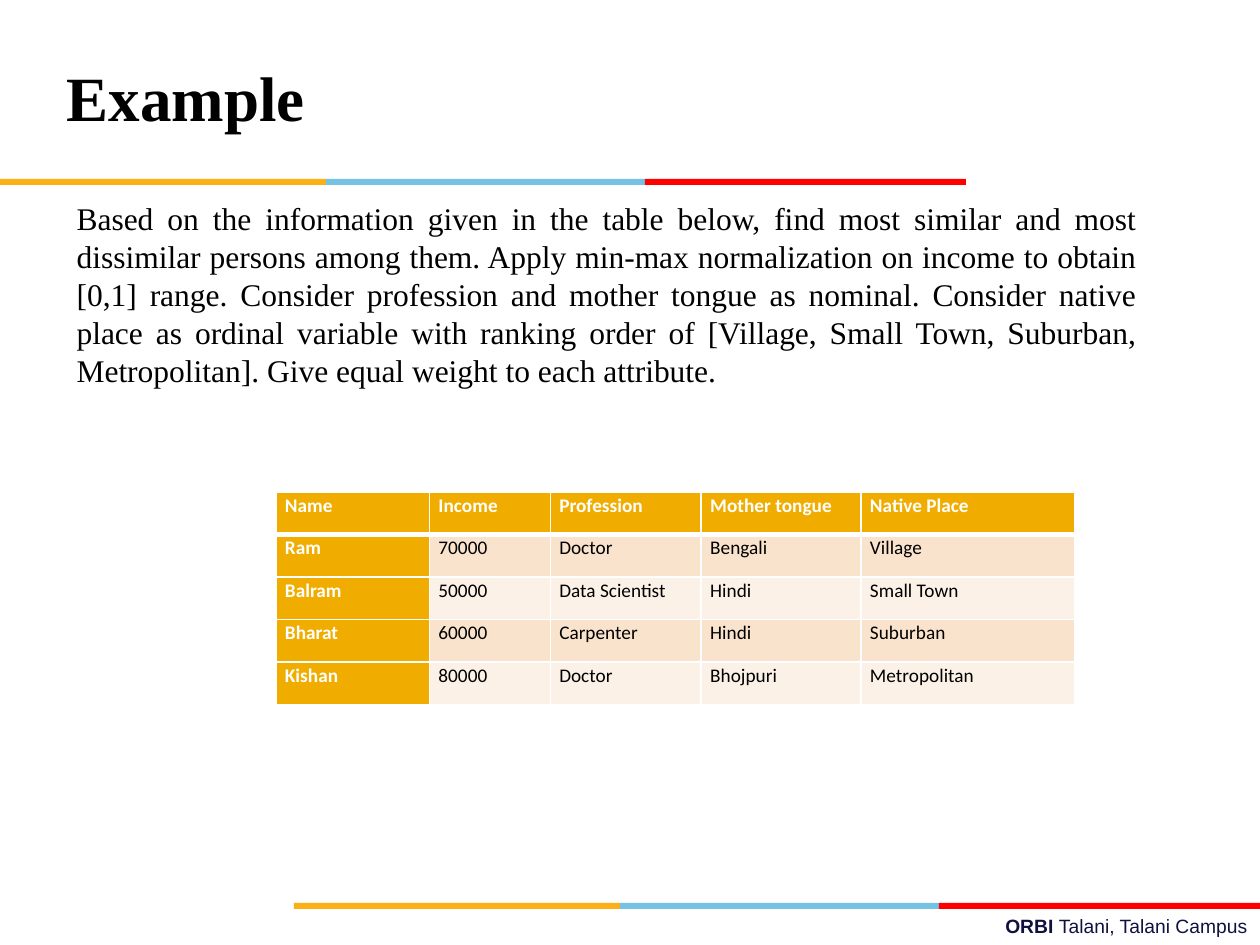
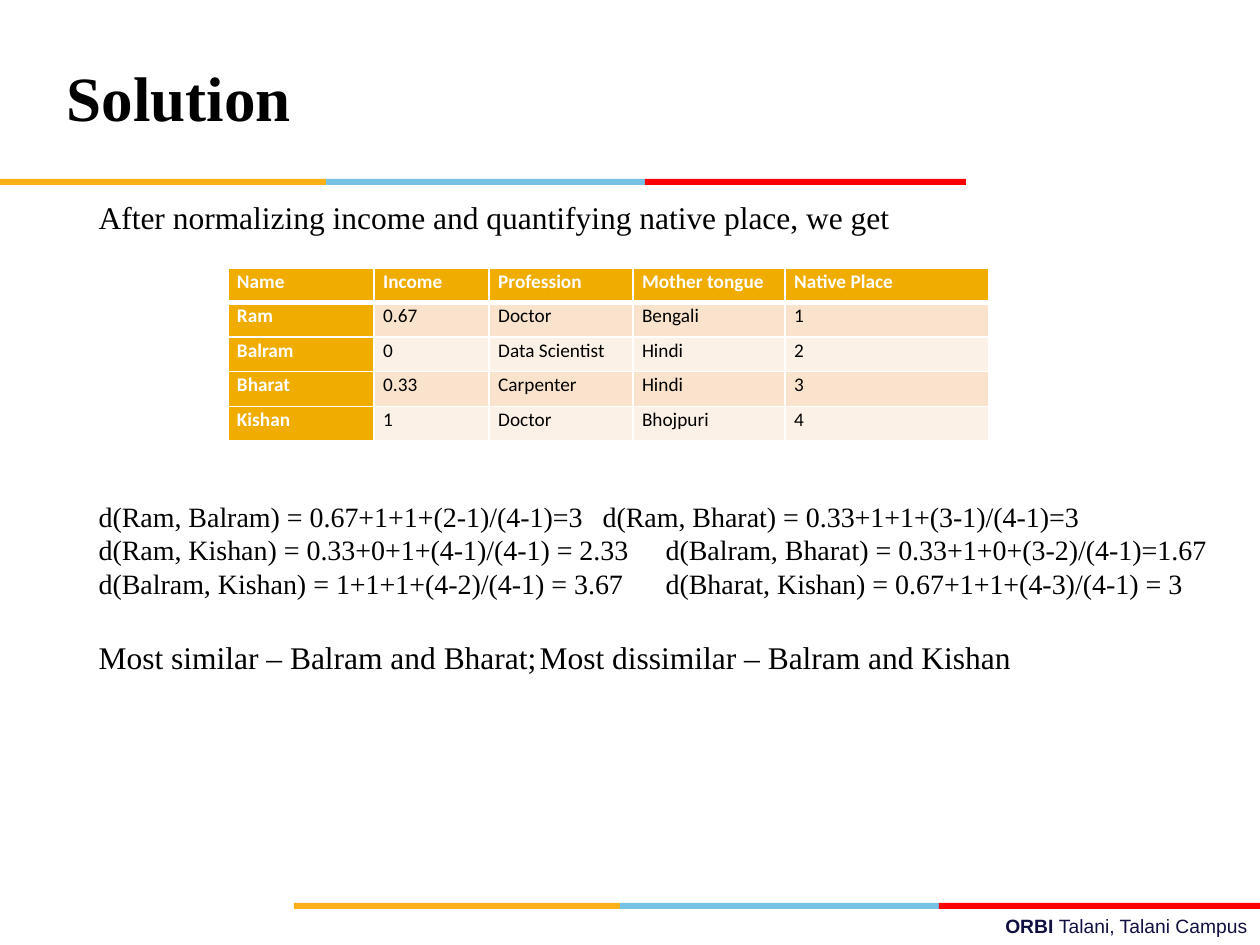
import dataclasses
import itertools

import pptx
import pptx.dml.color
import pptx.enum.shapes
import pptx.enum.text
import pptx.oxml.ns
import pptx.util
from lxml import etree

PIXELS_PER_INCH = 126
ALIGN = pptx.enum.text.PP_ALIGN


@dataclasses.dataclass(frozen=True)
class Theme:
    text_font: str = "Times New Roman"
    table_font: str = "Calibri"
    footer_font: str = "Arial"
    title_size: int = 36
    body_size: int = 18
    formula_size: int = 16
    small_size: int = 11
    black: str = "000000"
    white: str = "FFFFFF"
    navy: str = "101141"
    stripes: tuple = ("FCB017", "76C2E5", "FF0000")
    header_fill: str = "F0AD00"
    row_fills: tuple = ("F9E3CC", "FCF1E7")


THEME = Theme()
STRIPE_WIDTHS = (326, 319, 321)
COLUMN_WEIGHTS = (122, 96, 120, 127, 170)
HEADINGS = ("Name", "Income", "Profession", "Mother tongue", "Native Place")
PEOPLE = (
    ("Ram", "Doctor", "Bengali"),
    ("Balram", "Data Scientist", "Hindi"),
    ("Bharat", "Carpenter", "Hindi"),
    ("Kishan", "Doctor", "Bhojpuri"),
)
QUESTION = (
    "Based on the information given in the table below, find most similar and most "
    "dissimilar persons among them. Apply min-max normalization on income to obtain "
    "[0,1] range. Consider profession and mother tongue as nominal. Consider native "
    "place as ordinal variable with ranking order of [Village, Small Town, Suburban, "
    "Metropolitan]. Give equal weight to each attribute."
)


@dataclasses.dataclass(frozen=True)
class Line:
    """A body paragraph; tab is where its second half starts, in px."""
    text: str
    size: int = THEME.body_size
    gap_before: int = 0
    tab: int = 0


SOLUTION = (
    Line("After normalizing income and quantifying native place, we get"),
    Line("d(Ram, Balram) = 0.67+1+1+(2-1)/(4-1)=3\td(Ram, Bharat) = 0.33+1+1+(3-1)/(4-1)=3",
         THEME.formula_size, 263, 526),
    Line("d(Ram, Kishan) = 0.33+0+1+(4-1)/(4-1) = 2.33\t"
         "d(Balram, Bharat) = 0.33+1+0+(3-2)/(4-1)=1.67", THEME.formula_size, 0, 543),
    Line("d(Balram, Kishan) = 1+1+1+(4-2)/(4-1) = 3.67\t"
         "d(Bharat, Kishan) = 0.67+1+1+(4-3)/(4-1) = 3", THEME.formula_size, 0, 538),
    Line("Most similar – Balram and Bharat;\tMost dissimilar – Balram and Kishan",
         gap_before=38, tab=469),
)


def px(length):
    return pptx.util.Emu(round(length * 914400 / PIXELS_PER_INCH))


def color(value):
    return pptx.dml.color.RGBColor.from_string(value)


def style_run(run, font, size, ink, bold=False):
    run.font.name = font
    run.font.size = pptx.util.Pt(size)
    run.font.color.rgb = color(ink)
    run.font.bold = bold


def place(shape, box):
    shape.left, shape.top, shape.width, shape.height = map(px, box)


def add_child(parent, tag, **attributes):
    return etree.SubElement(parent, pptx.oxml.ns.qn(tag), attributes)


def add_stripes(slide, left, top):
    group = slide.shapes.add_group_shape()
    offsets = itertools.accumulate(STRIPE_WIDTHS, initial=left)
    for offset, width, fill in zip(offsets, STRIPE_WIDTHS, THEME.stripes):
        stripe = group.shapes.add_shape(
            pptx.enum.shapes.MSO_SHAPE.RECTANGLE, px(offset), px(top), px(width), px(6))
        stripe.shadow.inherit = False
        stripe.fill.solid()
        stripe.fill.fore_color.rgb = color(fill)
        stripe.line.fill.background()


def add_footer(slide, box):
    footer = slide.shapes.add_textbox(*map(px, box))
    footer.text_frame.word_wrap = True
    paragraph = footer.text_frame.paragraphs[0]
    paragraph.alignment = ALIGN.RIGHT
    for text, bold in (("ORBI ", True), ("Talani, Talani Campus", False)):
        run = paragraph.add_run()
        run.text = text
        style_run(run, THEME.footer_font, THEME.small_size, THEME.navy, bold)


def add_base_slide(presentation, title):
    """Add a slide with the shared title, stripes and footer."""
    slide = presentation.slides.add_slide(presentation.slide_layouts[1])
    heading = slide.shapes.title
    place(heading, (54, 38, 843, 117))
    heading.text_frame.text = title
    heading.text_frame.vertical_anchor = pptx.enum.text.MSO_ANCHOR.MIDDLE
    paragraph = heading.text_frame.paragraphs[0]
    paragraph.alignment = ALIGN.LEFT
    style_run(paragraph.runs[0], THEME.text_font, THEME.title_size, THEME.black, True)
    add_stripes(slide, 0, 179)
    add_stripes(slide, 294, 903)
    add_footer(slide, (451, 908, 809, 37))
    return slide


def fill_body(slide, box, lines, alignment=ALIGN.LEFT):
    body = slide.placeholders[1]
    place(body, box)
    frame = body.text_frame
    frame.text = "\n".join(line.text for line in lines)
    frame.auto_size = pptx.enum.text.MSO_AUTO_SIZE.NONE
    for paragraph, line in zip(frame.paragraphs, lines):
        paragraph.alignment = alignment
        paragraph.space_before = pptx.util.Pt(round(px(line.gap_before).pt, 1))
        for run in paragraph.runs:
            style_run(run, THEME.text_font, line.size, THEME.black)
        properties = paragraph._p.get_or_add_pPr()
        properties.set("marL", "0")
        properties.set("indent", "0")
        add_child(properties, "a:buNone")
        if line.tab:
            tabs = add_child(properties, "a:tabLst")
            add_child(tabs, "a:tab", pos=str(px(line.tab)), algn="l")


def set_borders(cell, **widths):
    """Draw white borders; widths are points for the sides L, R, T and B."""
    properties = cell._tc.get_or_add_tcPr()
    for side in "LRTB":
        width = pptx.util.Pt(widths.get(side, 1))
        line = add_child(properties, f"a:ln{side}", w=str(width))
        add_child(add_child(line, "a:solidFill"), "a:srgbClr", val=THEME.white)


def style_cell(cell, text, row, column):
    is_label = row == 0 or column == 0
    set_borders(cell, T=3 if row == 1 else 1, B=3 if row == 0 else 1)
    cell.fill.solid()
    cell.fill.fore_color.rgb = color(
        THEME.header_fill if is_label else THEME.row_fills[(row - 1) % 2])
    cell.margin_left = cell.margin_right = px(9)
    cell.margin_top = cell.margin_bottom = 0
    cell.text_frame.text = text
    paragraph = cell.text_frame.paragraphs[0]
    paragraph.line_spacing = 1.07
    style_run(paragraph.runs[0], THEME.table_font, THEME.small_size,
              THEME.white if is_label else THEME.black, is_label)


def add_people_table(slide, box, incomes, places):
    rows = [HEADINGS] + [
        (name, income, profession, tongue, native_place)
        for (name, profession, tongue), income, native_place in zip(PEOPLE, incomes, places)]
    frame = slide.shapes.add_table(len(rows), len(HEADINGS), *map(px, box))
    table = frame.table
    table.first_col = True
    for column, weight in zip(table.columns, COLUMN_WEIGHTS):
        column.width = px(box[2] * weight / sum(COLUMN_WEIGHTS))
    for row, texts in enumerate(rows):
        table.rows[row].height = px(box[3] / len(rows))
        for column, text in enumerate(texts):
            style_cell(table.cell(row, column), text, row, column)


def add_example_slide(presentation):
    slide = add_base_slide(presentation, "Example")
    fill_body(slide, (64, 193, 1086, 600), [Line(QUESTION)], ALIGN.JUSTIFY)
    add_people_table(slide, (276, 492, 799, 213), ("70000", "50000", "60000", "80000"),
                     ("Village", "Small Town", "Suburban", "Metropolitan"))


def add_solution_slide(presentation):
    slide = add_base_slide(presentation, "Solution")
    fill_body(slide, (86, 192, 1155, 534), SOLUTION)
    add_people_table(slide, (228, 268, 761, 173), ("0.67", "0", "0.33", "1"),
                     ("1", "2", "3", "4"))


def main():
    presentation = pptx.Presentation()
    presentation.slide_width = px(1260)
    presentation.slide_height = px(945)
    add_example_slide(presentation)
    add_solution_slide(presentation)
    presentation.save("out.pptx")


if __name__ == "__main__":
    main()
